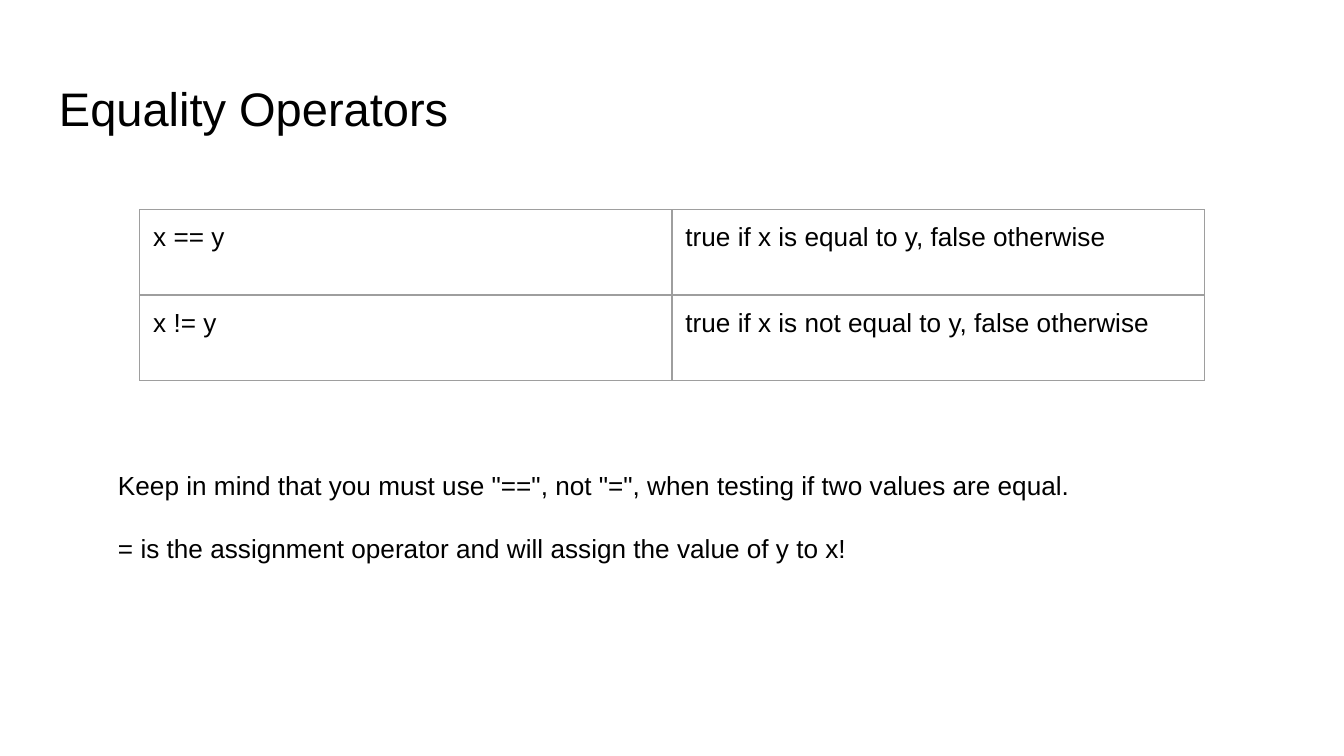
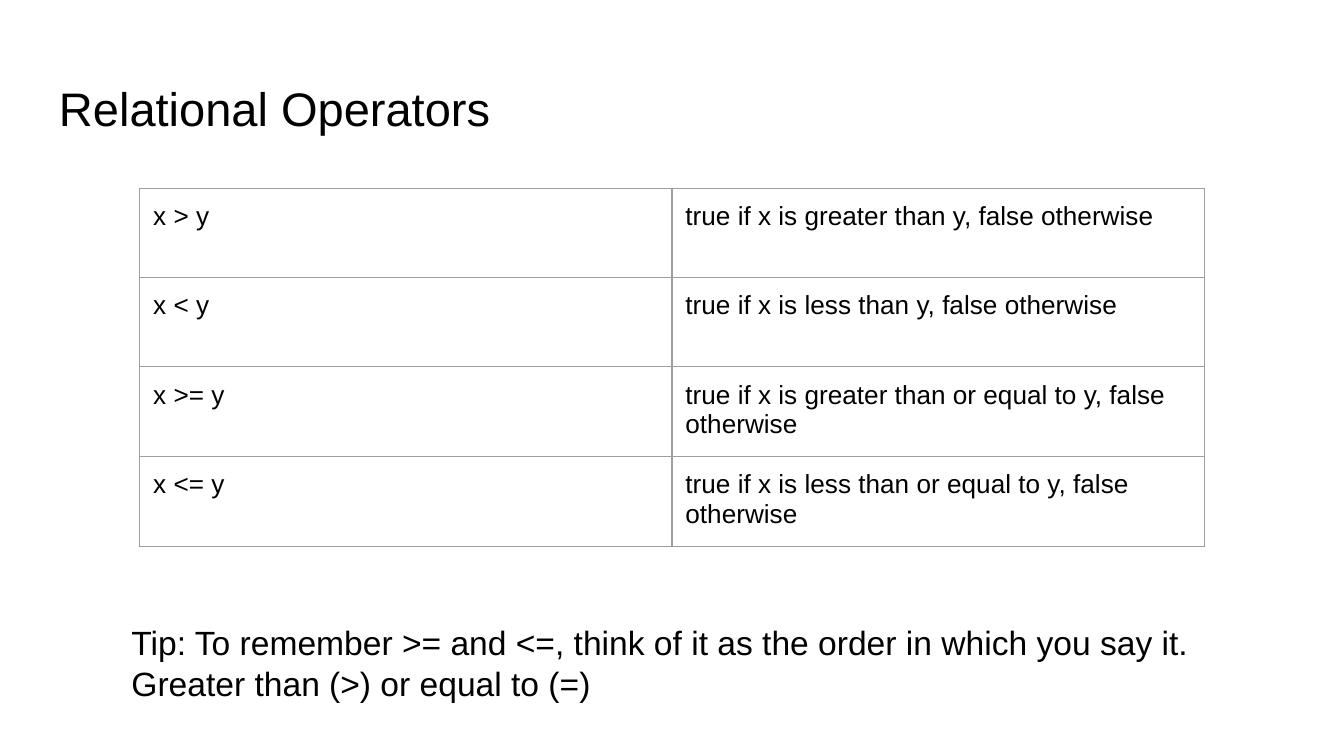
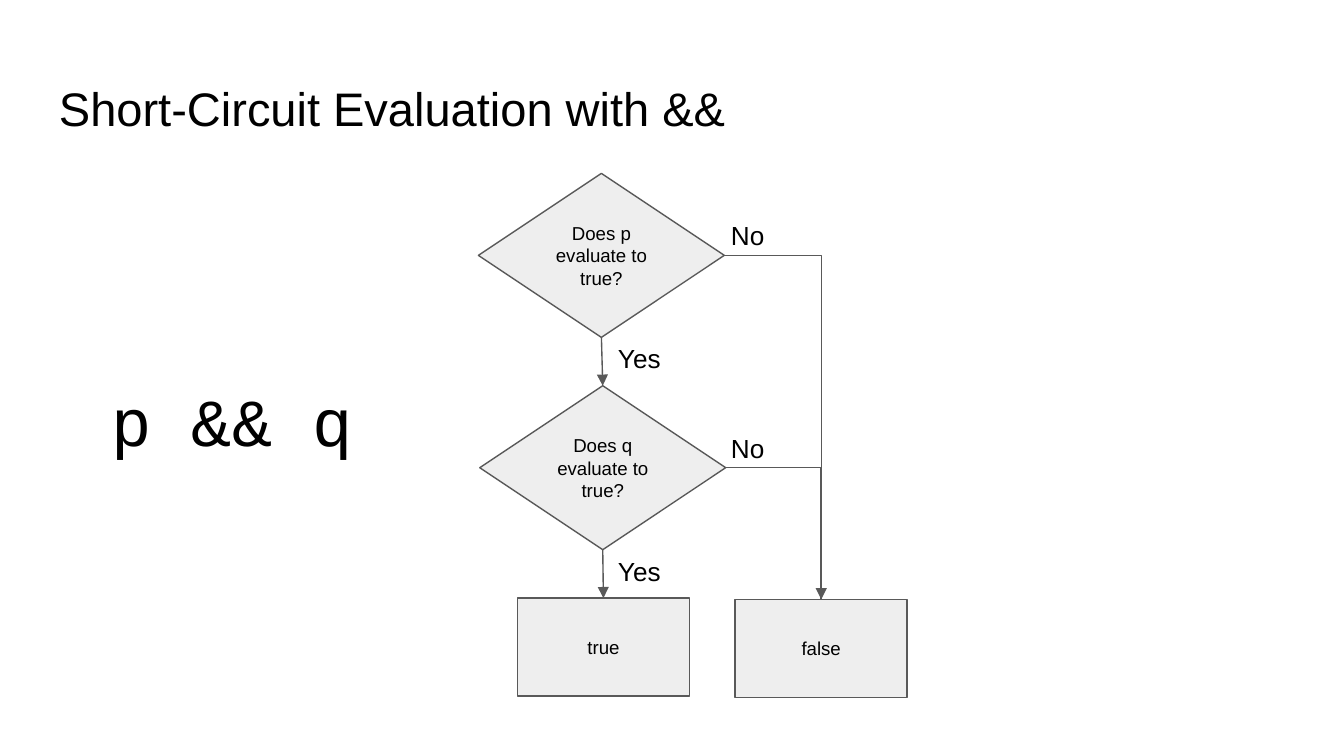
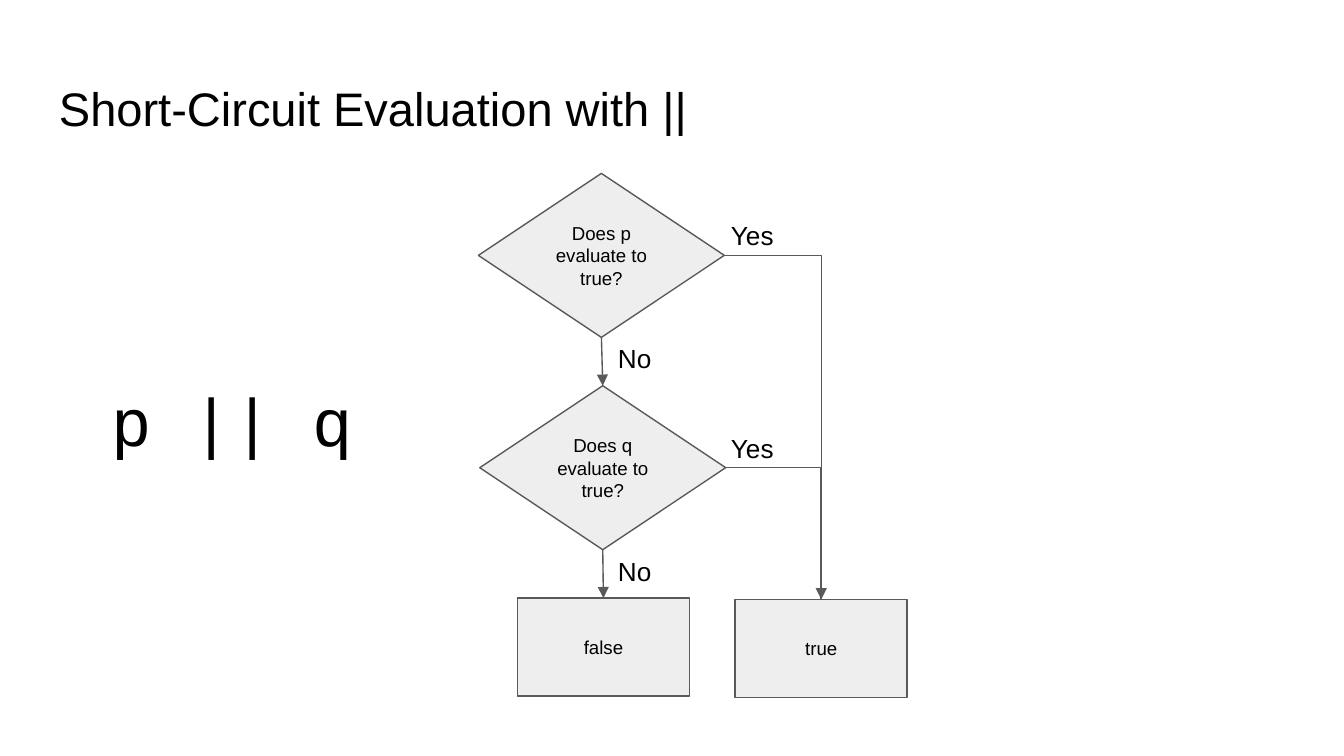
"""Builds four slides on comparison operators and short-circuit evaluation."""
from lxml import etree
from pptx import Presentation
from pptx.dml.color import RGBColor
from pptx.enum.shapes import MSO_CONNECTOR, MSO_SHAPE
from pptx.enum.text import MSO_ANCHOR, MSO_AUTO_SIZE, PP_ALIGN
from pptx.oxml.ns import qn
from pptx.util import Inches, Pt

RECT, GEM = MSO_SHAPE.RECTANGLE, MSO_SHAPE.FLOWCHART_DECISION
STRAIGHT, ELBOW = MSO_CONNECTOR.STRAIGHT, MSO_CONNECTOR.ELBOW
TOP, MIDDLE = MSO_ANCHOR.TOP, MSO_ANCHOR.MIDDLE
LEFT, CENTER = PP_ALIGN.LEFT, PP_ALIGN.CENTER
GROW, FIXED = MSO_AUTO_SIZE.SHAPE_TO_FIT_TEXT, MSO_AUTO_SIZE.NONE

HUES = {"text": "000000", "fill": "EEEEEE", "line": "595959", "grid": "9E9E9E"}
PAD = Inches(0.1)
PADS = {"margin_left": PAD, "margin_right": PAD, "margin_top": PAD, "margin_bottom": PAD}
THIN = Pt(0.75)
EDGES = ("a:lnL", "a:lnR", "a:lnT", "a:lnB")


def write(frame, text, size, font="Arial", align=LEFT, gap=0):
    """Fill a text frame, one paragraph per line of text."""
    frame.text = text
    for num, para in enumerate(frame.paragraphs):
        para.alignment = align
        if num:
            para.space_before = Pt(gap)
        for key, value in {"name": font, "size": Pt(size), "bold": False}.items():
            setattr(para.font, key, value)
        para.font.color.rgb = RGBColor.from_string(HUES["text"])


def place(slide, box, text, size, kind=None, fit=GROW, **style):
    """Add a text box, or a filled shape when a kind is given."""
    spot = [Inches(n) for n in box]
    if kind is None:
        shape = slide.shapes.add_textbox(*spot)
    else:
        shape = slide.shapes.add_shape(kind, *spot)
        shape.shadow.inherit = False
        shape.fill.solid()
        shape.fill.fore_color.rgb = RGBColor.from_string(HUES["fill"])
        shape.line.color.rgb = RGBColor.from_string(HUES["line"])
        shape.line.width = THIN
        style["align"] = CENTER
        fit = FIXED
    frame = shape.text_frame
    anchor = TOP if kind is None else MIDDLE
    for key, value in {**PADS, "word_wrap": True, "auto_size": fit, "vertical_anchor": anchor}.items():
        setattr(frame, key, value)
    write(frame, text, size, **style)
    return shape


deck = Presentation()
deck.slide_width = Inches(10)
deck.slide_height = deck.slide_width * 9 // 16
blank = deck.slide_layouts[6]

titles = [
    "Equality Operators",
    "Relational Operators",
    "Short-Circuit Evaluation with &&",
    "Short-Circuit Evaluation with ||",
]
slides = []
for title in titles:
    slide = deck.slides.add_slide(blank)
    place(slide, (0.34, 0.49, 9.32, 0.63), title, 25.2, fit=FIXED)
    slides.append(slide)

equal = [
    ("x == y", "true if x is equal to y, false otherwise"),
    ("x != y", "true if x is not equal to y, false otherwise"),
]
order = [
    ("x > y", "true if x is greater than y, false otherwise"),
    ("x < y", "true if x is less than y, false otherwise"),
    ("x >= y", "true if x is greater than or equal to y, false otherwise"),
    ("x <= y", "true if x is less than or equal to y, false otherwise"),
]
for slide, rows, top, tall in ((slides[0], equal, 1.56, 1.27), (slides[1], order, 1.4, 2.66)):
    table = slide.shapes.add_table(
        len(rows), 2, Inches(1.04), Inches(top), Inches(7.92), Inches(tall)
    ).table
    table.first_row = table.horz_banding = False
    for r, row in enumerate(rows):
        for c, text in enumerate(row):
            cell = table.cell(r, c)
            for key, value in PADS.items():
                setattr(cell, key, value)
            write(cell.text_frame, text, 14)
            props = cell._tc.get_or_add_tcPr()
            for edge in EDGES:
                line = etree.SubElement(props, qn(edge), w=str(THIN))
                paint = etree.SubElement(line, qn("a:solidFill"))
                etree.SubElement(paint, qn("a:srgbClr"), val=HUES["grid"])
            cell.fill.background()

rule = (
    'Keep in mind that you must use "==", not "=", when testing if two values are equal.\n'
    "= is the assignment operator and will assign the value of y to x!"
)
place(slides[0], (0.78, 3.39, 8.67, 0.91), rule, 14, gap=17)
tip = (
    "Tip: To remember >= and <=, think of it as the order in which you say it. "
    "Greater than (>) or equal to (=)"
)
place(slides[1], (0.88, 4.53, 8.64, 0.81), tip, 18)

charts = [
    (slides[2], "p && q", "Yes", "No", "true", "false"),
    (slides[3], "p || q", "No", "Yes", "false", "true"),
]
for slide, code, down, side, last, early in charts:
    first = place(slide, (3.56, 1.29, 1.83, 1.22), "Does p evaluate to true?", 10, GEM)
    second = place(slide, (3.57, 2.87, 1.83, 1.22), "Does q evaluate to true?", 10, GEM)
    end = place(slide, (3.85, 4.45, 1.28, 0.73), last, 10, RECT)
    other = place(slide, (5.47, 4.46, 1.28, 0.73), early, 10, RECT)
    links = [
        (STRAIGHT, first, 2, second, True),
        (STRAIGHT, second, 2, end, True),
        (ELBOW, first, 3, other, True),
        (ELBOW, second, 3, other, False),
    ]
    for kind, start, site, goal, arrow in links:
        link = slide.shapes.add_connector(kind, 0, 0, 0, 0)
        link.begin_connect(start, site)
        link.end_connect(goal, 0)
        link.line.color.rgb = RGBColor.from_string(HUES["line"])
        link.line.width = THIN
        props = link._element.spPr
        if kind == ELBOW:
            props.find(qn("a:prstGeom")).set("prst", "bentConnector2")
        if arrow:
            etree.SubElement(props.find(qn("a:ln")), qn("a:tailEnd"), type="triangle")
        etree.SubElement(props, qn("a:effectLst"))
    for text, left, tops in ((down, 4.5, (2.45, 4.03)), (side, 5.34, (1.53, 3.12))):
        for top in tops:
            place(slide, (left, top, 0.53, 0.44), text, 14)
    place(slide, (0.73, 2.72, 2.32, 0.81), code, 36, font="Courier New")

deck.save("out.pptx")
